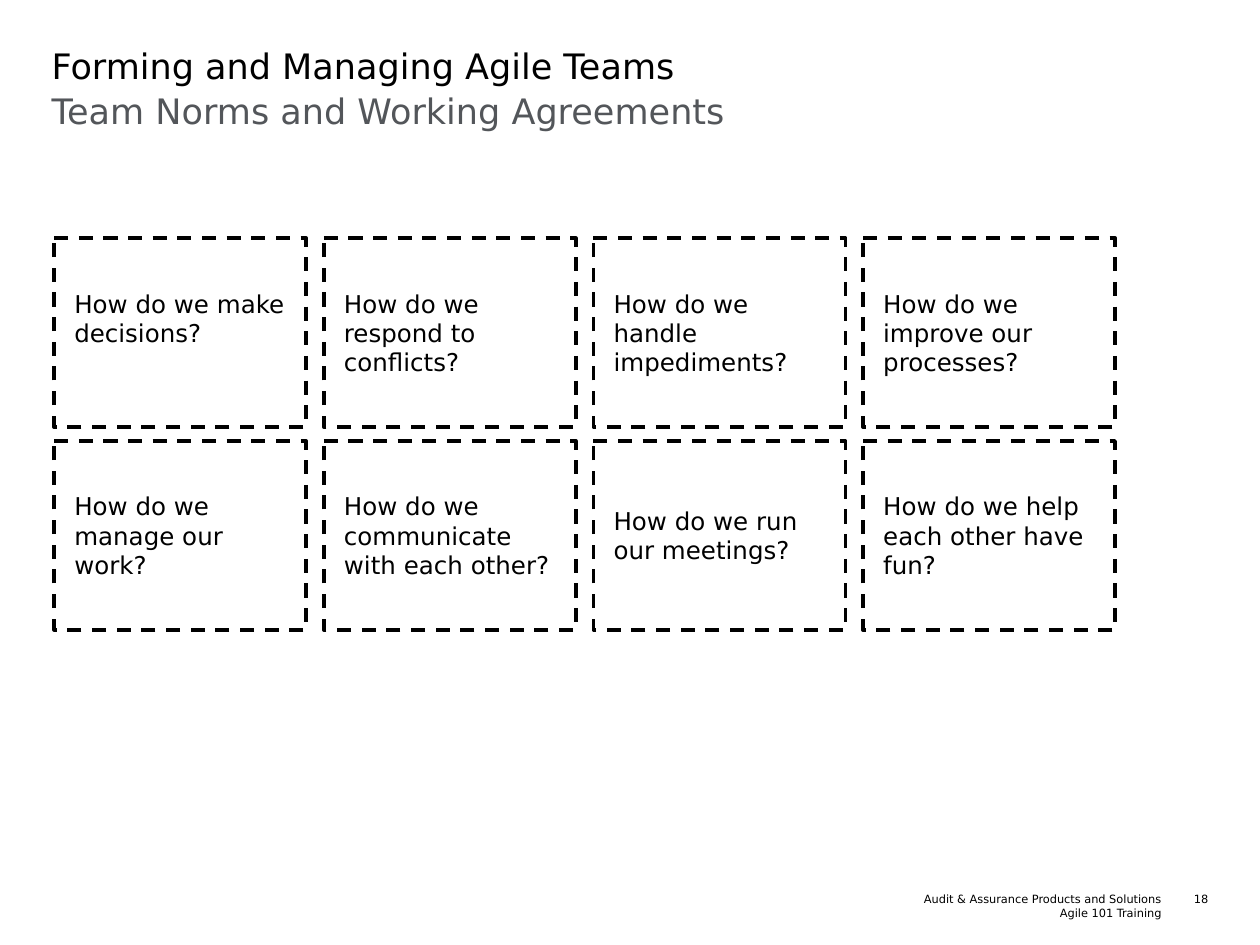
from dataclasses import dataclass

from lxml import etree
from pptx import Presentation
from pptx.dml.color import RGBColor
from pptx.enum.dml import MSO_LINE
from pptx.enum.shapes import MSO_SHAPE
from pptx.enum.text import MSO_ANCHOR, MSO_AUTO_SIZE, PP_ALIGN
from pptx.oxml.ns import qn
from pptx.util import Inches, Pt

DASH = MSO_LINE.DASH
PENTAGON = MSO_SHAPE.PENTAGON
TOP, MIDDLE = MSO_ANCHOR.TOP, MSO_ANCHOR.MIDDLE
NO_AUTOFIT = MSO_AUTO_SIZE.NONE
LEFT, RIGHT = PP_ALIGN.LEFT, PP_ALIGN.RIGHT


@dataclass(frozen=True)
class Theme:
    """Colours, font and type sizes of the slide."""
    font: str = "DejaVu Sans"
    black: RGBColor = RGBColor(0x00, 0x00, 0x00)
    grey: RGBColor = RGBColor(0x53, 0x56, 0x5A)
    heading_size: float = 20
    card_size: float = 14
    footer_size: float = 6.5
    border_width: float = 2


THEME = Theme()
COLUMNS = 4
CARD_WIDTH, CARD_HEIGHT = 2, 1.5
COLUMN_STEP, ROW_STEP = 2.14, 1.61
CARD_INSETS = (0.16, 0.1, 0.1, 0.1)
RAISED_INSETS = (0.16, 0.1, 0.1, 0.33)
QUESTIONS = [
    "How do we make decisions?",
    "How do we respond to conflicts?",
    "How do we handle\nimpediments?",
    "How do we improve our processes?",
    "How do we manage our work?",
    "How do we communicate with each other?",
    "How do we run our meetings?",
    "How do we help each other have fun?",
]


def place(shape, box):
    """Move a shape to a box of left, top, width and height in inches."""
    shape.left, shape.top, shape.width, shape.height = map(Inches, box)


def prepare_frame(frame, insets=(0, 0, 0, 0), anchor=TOP):
    """Set wrapping, insets and anchor of a text frame."""
    frame.auto_size = NO_AUTOFIT
    frame.word_wrap = True
    frame.vertical_anchor = anchor
    (frame.margin_left, frame.margin_top,
     frame.margin_right, frame.margin_bottom) = map(Inches, insets)


def write(paragraph, text, size, color=THEME.black, align=LEFT):
    """Add text run by run, with a line break between lines."""
    paragraph.alignment = align
    paragraph.space_before = Pt(0)
    for number, line in enumerate(text.split("\n")):
        if number:
            paragraph.add_line_break()
        run = paragraph.add_run()
        run.text = line
        run.font.name = THEME.font
        run.font.size = Pt(size)
        run.font.color.rgb = color


def add_heading(placeholder, box, text, color):
    """Fill a title or body placeholder with one unbulleted line."""
    place(placeholder, box)
    prepare_frame(placeholder.text_frame)
    paragraph = placeholder.text_frame.paragraphs[0]
    write(paragraph, text, THEME.heading_size, color)
    properties = paragraph._p.get_or_add_pPr()
    properties.set("marL", "0")
    properties.set("indent", "0")
    etree.SubElement(properties, qn("a:buNone"))


def add_card(slide, box, question, insets):
    """Add one dashed card with its question."""
    card = slide.shapes.add_shape(PENTAGON, *map(Inches, box))
    card.adjustments[0] = 0
    card.shadow.inherit = False
    card.fill.background()
    card.line.color.rgb = THEME.black
    card.line.width = Pt(THEME.border_width)
    card.line.dash_style = DASH
    prepare_frame(card.text_frame, insets, MIDDLE)
    write(card.text_frame.paragraphs[0], question, THEME.card_size)


def add_card_grid(slide, left, top):
    """Lay out the questions row by row; the first text sits raised."""
    for index, question in enumerate(QUESTIONS):
        row, column = divmod(index, COLUMNS)
        box = (left + column * COLUMN_STEP, top + row * ROW_STEP,
               CARD_WIDTH, CARD_HEIGHT)
        insets = CARD_INSETS if index else RAISED_INSETS
        add_card(slide, box, question, insets)


def add_footer_text(slide, box, lines):
    """Add right-aligned footer lines."""
    frame = slide.shapes.add_textbox(*map(Inches, box)).text_frame
    prepare_frame(frame)
    for number, line in enumerate(lines):
        paragraph = frame.add_paragraph() if number else frame.paragraphs[0]
        write(paragraph, line, THEME.footer_size, align=RIGHT)


def build_slide(presentation):
    """Build the team norms slide."""
    slide = presentation.slides.add_slide(presentation.slide_layouts[1])
    add_footer_text(slide, (9.34, 7.08, 0.25, 0.11), ["18"])
    add_footer_text(slide, (5.2, 7.08, 4.02, 0.22),
                    ["Audit & Assurance Products and Solutions",
                     "Agile 101 Training"])
    add_heading(slide.placeholders[1], (0.41, 0.71, 9.16, 0.83),
                "Team Norms and Working Agreements", THEME.grey)
    add_heading(slide.shapes.title, (0.41, 0.35, 9.16, 0.37),
                "Forming and Managing Agile Teams", THEME.black)
    add_card_grid(slide, 0.43, 1.89)


def main():
    """Create and save the presentation."""
    presentation = Presentation()
    presentation.slide_width = Inches(10)
    presentation.slide_height = Inches(7.5)
    build_slide(presentation)
    presentation.save("out.pptx")


main()
